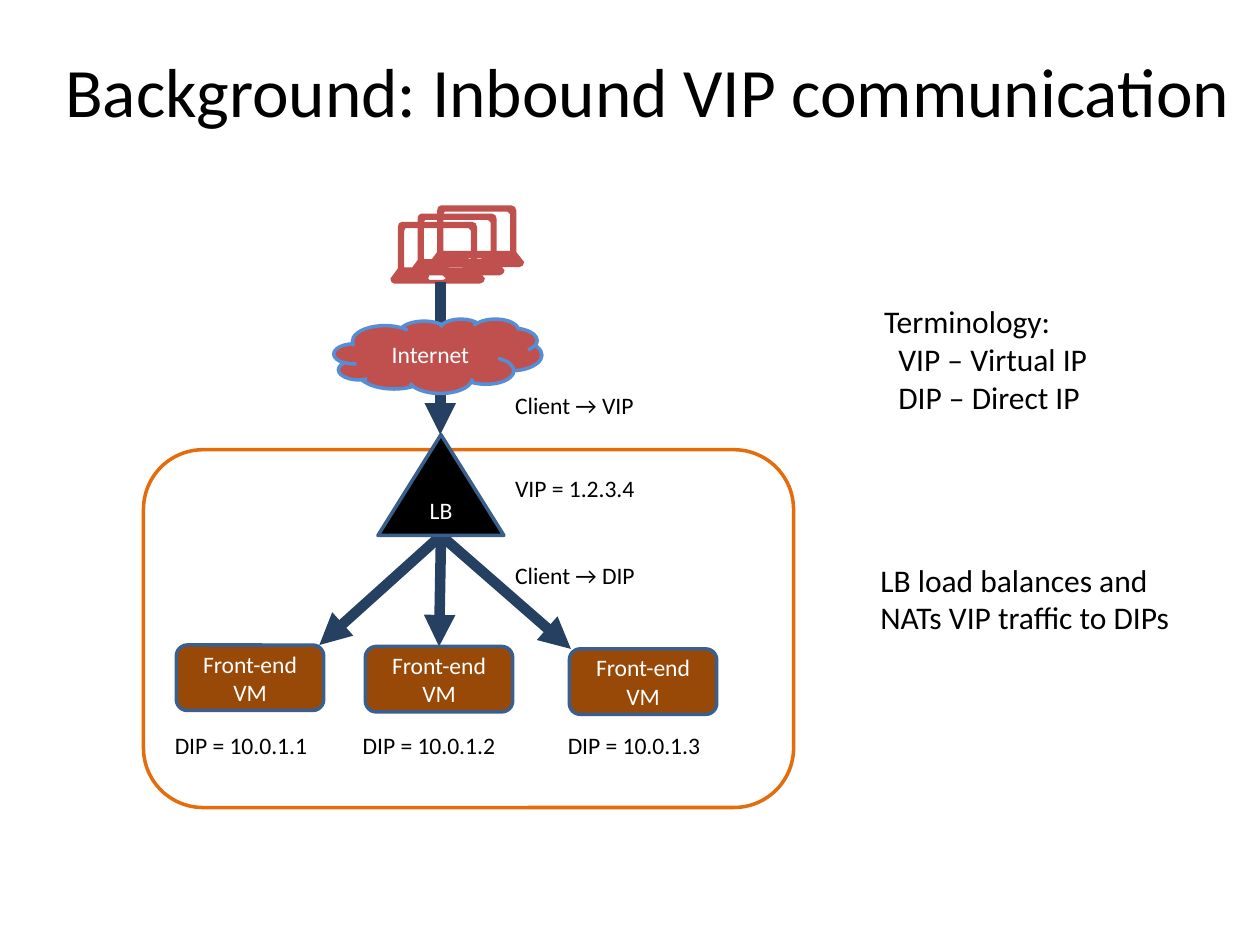
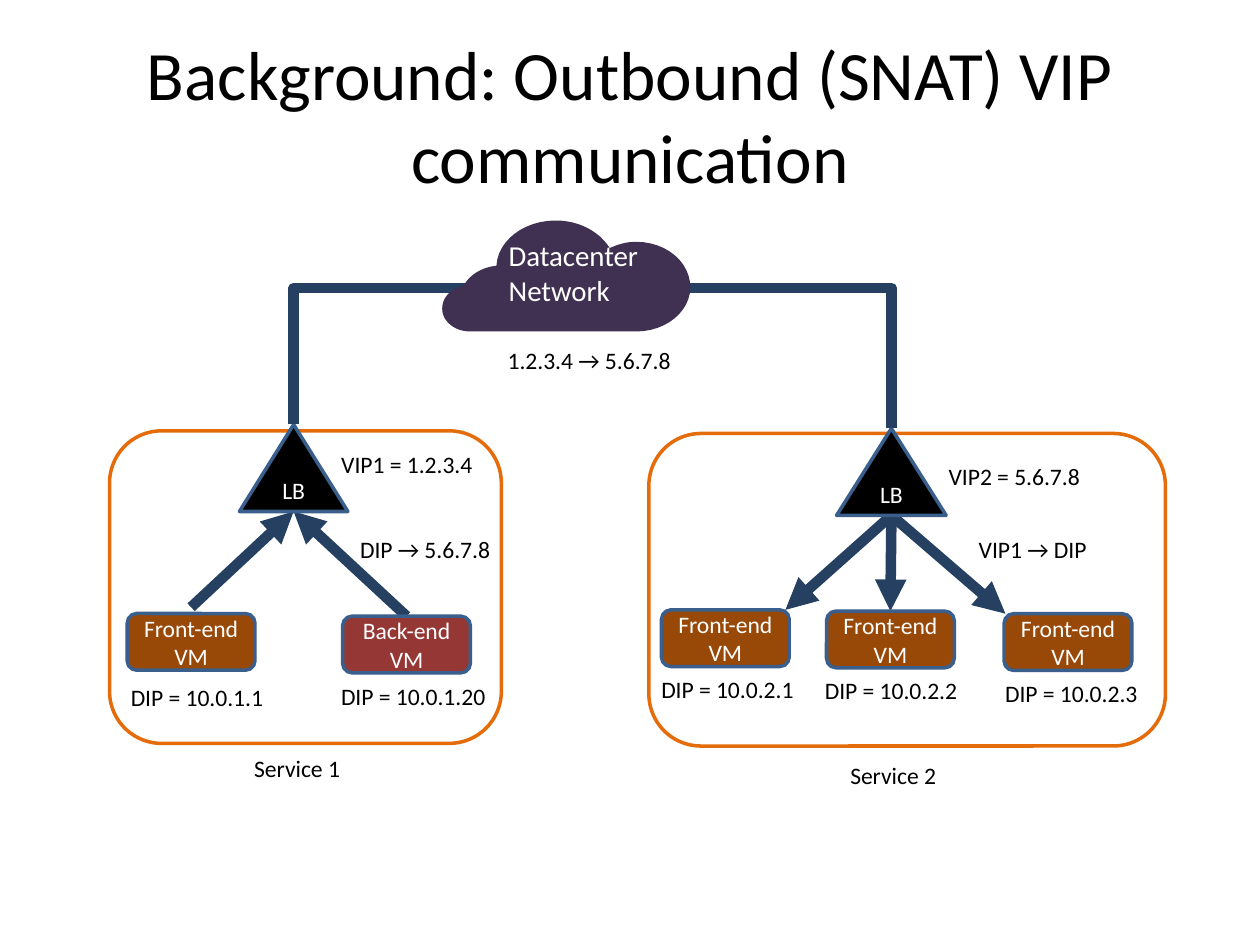
from dataclasses import dataclass

from lxml.etree import SubElement
from pptx import Presentation
from pptx.dml.color import RGBColor
from pptx.enum.shapes import MSO_CONNECTOR, MSO_SHAPE
from pptx.enum.text import MSO_ANCHOR, MSO_AUTO_SIZE, PP_ALIGN
from pptx.oxml.ns import qn
from pptx.util import Pt


@dataclass(frozen=True)
class Theme:
    font: str = "Calibri"
    black: str = "000000"
    white: str = "FFFFFF"
    arrow: str = "254061"
    outline: str = "3A5F8C"
    service: str = "E46C0A"
    front_end: str = "984807"
    back_end: str = "953735"
    client: str = "C0504D"
    internet_edge: str = "558ED5"
    datacenter: str = "403152"
    title_size: float = 39.6
    note_size: float = 18
    network_size: float = 16.5
    label_size: float = 13.5
    arrow_width: float = 6
    edge_width: float = 2


THEME = Theme()


@dataclass(frozen=True)
class Machine:
    """A VM placed relative to its service box."""
    x: float
    y: float
    address: str
    port: float  # share of the width where the arrow meets the VM
    label_shift: tuple
    label_width: float = 91.4
    kind: str = "Front-end"
    gap: float = 0


# Shared helpers

def set_values(target, values):
    for name, value in values.items():
        setattr(target, name, value)


def write(shape, lines, size, color, align=PP_ALIGN.LEFT, indent=0, **frame_values):
    """Write one paragraph a line; lines after the first take the indent."""
    frame = shape.text_frame
    set_values(frame, frame_values)
    for index, line in enumerate(lines):
        para = frame.add_paragraph() if index else frame.paragraphs[0]
        para.alignment = align
        if index and indent:
            para._p.get_or_add_pPr().set("marL", str(Pt(indent)))
        span = para.add_run()
        span.text = line
        set_values(span.font, {"name": THEME.font, "size": Pt(size)})
        span.font.color.rgb = RGBColor.from_string(color)


def paint(shape, fill=None, edge=None):
    shape.shadow.inherit = False
    for part, color in ((shape.fill, fill), (shape.line.fill, edge)):
        if color:
            part.solid()
            part.fore_color.rgb = RGBColor.from_string(color)
        else:
            part.background()
    if edge:
        shape.line.width = Pt(THEME.edge_width)


def add_block(page, kind, box, fill=None, edge=THEME.outline, lines=()):
    shape = page.shapes.add_shape(kind, *map(Pt, box))
    paint(shape, fill, edge)
    write(shape, lines, THEME.label_size, THEME.white, PP_ALIGN.CENTER,
          vertical_anchor=MSO_ANCHOR.MIDDLE)
    return shape


def add_text(page, box, lines, size=THEME.label_size, indent=0):
    shape = page.shapes.add_textbox(*map(Pt, box))
    write(shape, lines, size, THEME.black, indent=indent, word_wrap=False,
          auto_size=MSO_AUTO_SIZE.SHAPE_TO_FIT_TEXT)


def add_label(page, x, y, width, text):
    add_text(page, (x, y, width, 23.8), [text])


def add_title(page, box, text):
    shape = page.shapes.add_textbox(*map(Pt, box))
    write(shape, [text], THEME.title_size, THEME.black, PP_ALIGN.CENTER,
          word_wrap=True, vertical_anchor=MSO_ANCHOR.MIDDLE)


def style_line(connector, arrow=True):
    connector.line.color.rgb = RGBColor.from_string(THEME.arrow)
    connector.line.width = Pt(THEME.arrow_width)
    if arrow:
        SubElement(connector.line._get_or_add_ln(), qn("a:tailEnd"), type="triangle")
    SubElement(connector._element.spPr, qn("a:effectLst"))


def add_arrow(page, start, end):
    connector = page.shapes.add_connector(MSO_CONNECTOR.STRAIGHT, *map(Pt, start + end))
    style_line(connector)


def add_outline(page, left, top, contours, fill):
    """Draw closed contours; inner ones cut holes."""
    builder = None
    for contour in contours:
        points = [(Pt(left + x), Pt(top + y)) for x, y in contour]
        if builder is None:
            builder = page.shapes.build_freeform(*points[0])
        else:
            builder.move_to(*points[0])
        builder.add_line_segments(points[1:], close=True)
    shape = builder.convert_to_shape()
    paint(shape, fill)
    return shape


# Service: box, load balancer, VMs, arrows and labels

def add_service(page, box, balancer, machine_size, machines, labels, outbound=False):
    left, top, width, height = box
    x, y, balancer_width, balancer_height = balancer
    hub = (left + x + balancer_width / 2, top + y + balancer_height)
    machine_width, machine_height = machine_size

    for machine in machines:
        port = (left + machine.x + machine.port * machine_width,
                top + machine.y - machine.gap)
        add_arrow(page, *((port, hub) if outbound else (hub, port)))

    add_block(page, MSO_SHAPE.ROUNDED_RECTANGLE, box, edge=THEME.service)
    triangle = add_block(page, MSO_SHAPE.ISOSCELES_TRIANGLE,
                         (left + x, top + y, balancer_width, balancer_height),
                         THEME.black, lines=["LB"])

    fills = {"Front-end": THEME.front_end, "Back-end": THEME.back_end}
    for machine in machines:
        machine_left, machine_top = left + machine.x, top + machine.y
        add_block(page, MSO_SHAPE.ROUNDED_RECTANGLE,
                  (machine_left, machine_top, machine_width, machine_height),
                  fills[machine.kind], lines=[machine.kind, "VM"])
        shift_x, shift_y = machine.label_shift
        add_label(page, machine_left + shift_x, machine_top + shift_y,
                  machine.label_width, f"DIP = {machine.address}")

    for label_x, label_y, label_width, text in labels:
        add_label(page, left + label_x, top + label_y, label_width, text)
    return triangle


# Clients: a stack of laptops

LAPTOP = [
    [(49.5, 26.6), (49.5, 2.9), (48.7, 0.8), (46.8, 0), (6.5, 0), (4.9, 0.8),
     (4.3, 2.9), (4.3, 26.6), (0, 32.4), (0.6, 34.4), (2.2, 35.3), (51.1, 35.3),
     (53.2, 34.4), (54, 32.4)],
    [(46, 26), (7.9, 26), (7.9, 5), (8.6, 3.6), (44.6, 3.6), (46, 5)],
    [(30.2, 33.1), (22.3, 33.1), (21.6, 32.4), (22.3, 30.2), (29.5, 30.2),
     (30.2, 30.9), (31.7, 32.4)],
]


def add_clients(page, left, top):
    for index in range(3):
        add_outline(page, left - 11.2 * index, top + 4.7 * index, LAPTOP, THEME.client)


# Datacenter network: a cloud made of cubic curves

CLOUD_START = (15.8, 63.4)
CLOUD_CURVES = [
    ((7.2, 63.4), (0, 57.6), (0, 50.4)),
    ((0, 43.9), (5, 38.9), (12.2, 37.4)),
    ((15.1, 31.7), (22.3, 26.6), (31, 25.9)),
    ((31.7, 11.5), (46.8, 0), (64.8, 0)),
    ((78.5, 0), (90, 6.5), (95.8, 15.8)),
    ((100.1, 13.7), (105.1, 12.2), (110.9, 12.2)),
    ((128.2, 12.2), (141.8, 23.8), (141.8, 38.2)),
    ((141.8, 51.8), (128.2, 63.4), (110.9, 63.4)),
]


def trace_curves(start, curves, steps=12):
    points = [start]
    for curve in curves:
        controls = (points[-1], *curve)
        for step in range(1, steps + 1):
            t = step / steps
            weights = ((1 - t) ** 3, 3 * t * (1 - t) ** 2, 3 * t ** 2 * (1 - t), t ** 3)
            points.append(tuple(sum(weight * control[axis] for weight, control
                                    in zip(weights, controls)) for axis in (0, 1)))
    return points


def add_datacenter(page, left, top):
    cloud = add_outline(page, left, top, [trace_curves(CLOUD_START, CLOUD_CURVES)],
                        THEME.datacenter)
    write(cloud, ["Datacenter", "Network"], THEME.network_size, THEME.white,
          word_wrap=True, vertical_anchor=MSO_ANCHOR.TOP, margin_left=Pt(38),
          margin_right=Pt(5), margin_top=Pt(10), margin_bottom=Pt(3))
    add_label(page, left + 30.3, top + 68.4, 110.2, "1.2.3.4 → 5.6.7.8")


def link_balancers(page, first, second, level):
    """Join the tops of two balancers with an elbow that rises to the level."""
    connector = page.shapes.add_connector(MSO_CONNECTOR.ELBOW, 0, 0, 0, 0)
    connector.begin_connect(first, 0)
    connector.end_connect(second, 0)
    start_x, end_x = (shape.left + shape.width // 2 for shape in (first, second))
    span, drop = end_x - start_x, second.top - first.top
    # The elbow is stored as a tall narrow box turned by 270 degrees
    set_values(connector, {
        "left": (start_x + end_x - drop) // 2,
        "top": (first.top + second.top - span) // 2,
        "width": drop, "height": span})
    properties = connector._element.spPr
    for name, value in {"rot": "16200000", "flipH": "1"}.items():
        properties.find(qn("a:xfrm")).set(name, value)
    guides = properties.find(qn("a:prstGeom")).find(qn("a:avLst"))
    bend = round((Pt(level) - first.top) / drop * 100000)
    SubElement(guides, qn("a:gd"), name="adj1", fmla=f"val {bend}")
    style_line(connector, arrow=False)


# Slides

def build_inbound(page):
    add_title(page, (17.3, 20.9, 705.6, 60.5), "Background: Inbound VIP communication")
    add_clients(page, 245.5, 117.4)
    add_service(
        page, (82, 257, 371.5, 204.5), (134, -8.6, 72, 57.6), (84.2, 37.4),
        [Machine(18.8, 111.6, "10.0.1.1", 0.97, (-8, 45.4)),
         Machine(126.8, 112.4, "10.0.1.2", 0.5, (-8.6, 44.6)),
         Machine(243.4, 113.8, "10.0.1.3", 0.01, (-8, 43.2))],
        [(205.3, -37.4, 84.2, "Client → VIP"),
         (205.3, 10.1, 83.5, "VIP = 1.2.3.4"),
         (205.3, 59.8, 85, "Client → DIP")])
    add_arrow(page, (251.6, 161.3), (251.6, 248.4))
    add_block(page, MSO_SHAPE.CLOUD, (190.8, 182.2, 118.8, 42.5), THEME.client,
              THEME.internet_edge, ["Internet"])
    add_text(page, (498.2, 169.2, 131.8, 72.7),
             ["Terminology:", "VIP – Virtual IP", "DIP – Direct IP"],
             THEME.note_size, indent=8.1)
    add_text(page, (496, 316.8, 181.4, 51),
             ["LB load balances and", "NATs VIP traffic to DIPs"], THEME.note_size)


def build_outbound(page):
    add_title(page, (0, 25.9, 720, 78.5), "Background: Outbound (SNAT) VIP communication")
    machine_size = (73, 32.4)
    first = add_service(
        page, (62.6, 246.2, 223.9, 178.6), (74.2, -3.6, 62, 49.7), machine_size,
        [Machine(10.1, 104.4, "10.0.1.1", 0.5, (-5, 36), gap=3.6),
         Machine(133.2, 105.9, "10.0.1.20", 0.5, (-8, 33.8), 98, "Back-end")],
        [(125.3, 7.2, 90.7, "VIP1 = 1.2.3.4"),
         (136.1, 56.2, 90.7, "DIP → 5.6.7.8"),
         (75.6, 180.8, 64.8, "Service 1")], outbound=True)
    second = add_service(
        page, (370.8, 247.7, 295.2, 178.6), (107.3, -2.9, 62.6, 49.7), machine_size,
        [Machine(7.2, 100.8, "10.0.2.1", 0.97, (-7.2, 33.8)),
         Machine(101.5, 101.5, "10.0.2.2", 0.5, (-8, 33.8)),
         Machine(203, 103, "10.0.2.3", 0.01, (-6.5, 33.8))],
        [(164.2, 12.9, 90.7, "VIP2 = 5.6.7.8"),
         (181.4, 54.7, 77.8, "VIP1 → DIP"),
         (108, 183.6, 64.8, "Service 2")])
    link_balancers(page, first, second, 164.9)
    add_datacenter(page, 252.7, 126)


def main():
    deck = Presentation()
    set_values(deck, {"slide_width": Pt(720), "slide_height": Pt(540)})
    for build in (build_inbound, build_outbound):
        build(deck.slides.add_slide(deck.slide_layouts[6]))
    deck.save("out.pptx")


if __name__ == "__main__":
    main()
